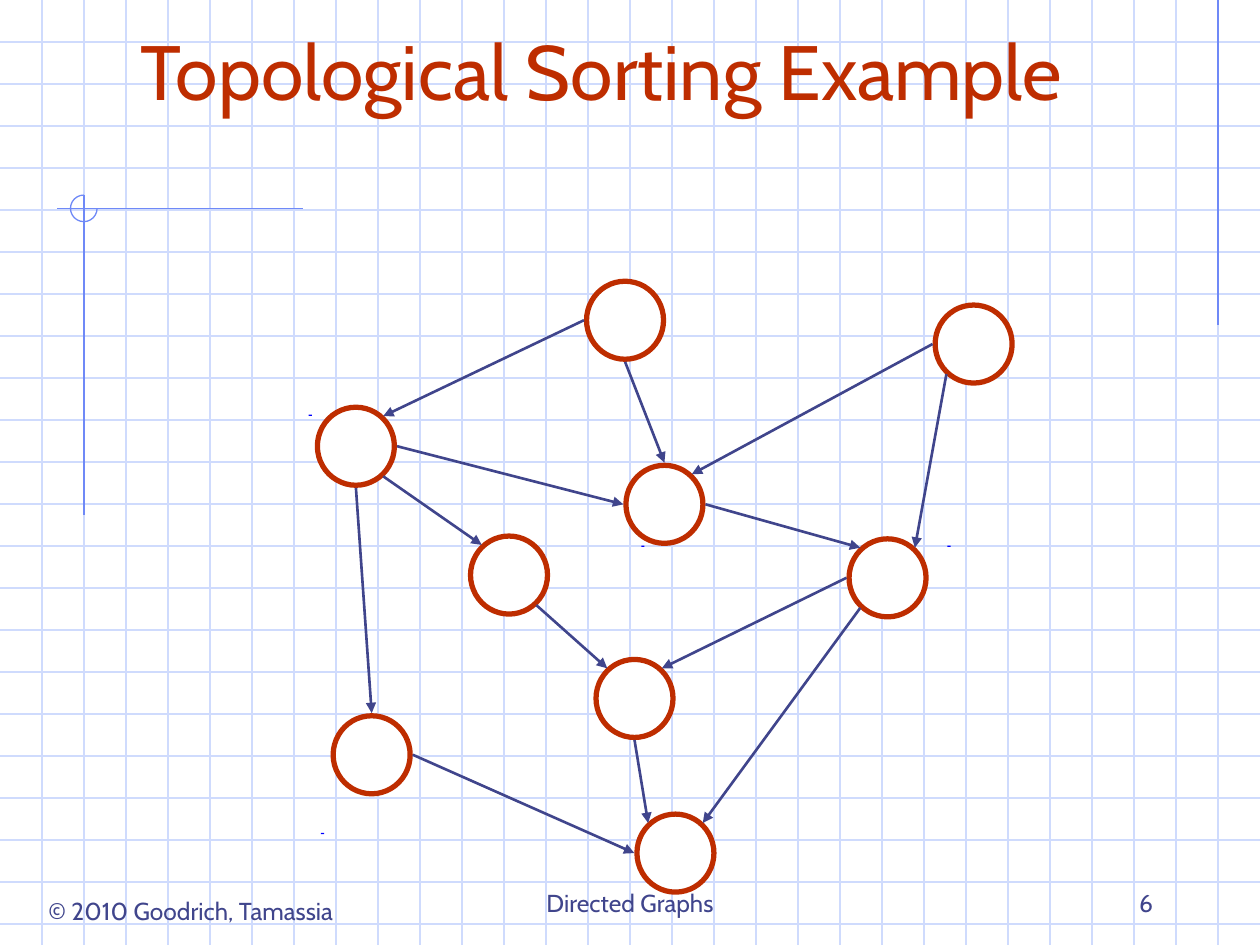
from lxml.etree import SubElement
from pptx import Presentation
from pptx.dml.color import RGBColor
from pptx.enum.shapes import MSO_CONNECTOR, MSO_SHAPE
from pptx.enum.text import MSO_ANCHOR, PP_ALIGN
from pptx.oxml.ns import qn
from pptx.util import Pt


def color(value):
    return RGBColor.from_string(value)


def add_text(text, left, top, width, height, size=14, fill="40458C",
             align=PP_ALIGN.LEFT, anchor=MSO_ANCHOR.BOTTOM, wrap=True):
    box = page.shapes.add_textbox(Pt(left), Pt(top), Pt(width), Pt(height))
    box.text_frame.word_wrap = wrap
    box.text_frame.vertical_anchor = anchor
    para = box.text_frame.paragraphs[0]
    para.alignment = align
    span = para.add_run()
    span.text = text
    span.font.name = "Cabin"
    span.font.size = Pt(size)
    span.font.color.rgb = color(fill)


def add_line(start, end, stroke, weight=0.75, arrow=False):
    line = page.shapes.add_connector(
        MSO_CONNECTOR.STRAIGHT, Pt(start[0]), Pt(start[1]), Pt(end[0]), Pt(end[1]))
    line.line.color.rgb = color(stroke)
    line.line.width = Pt(weight)
    if arrow:
        SubElement(line.line._get_or_add_ln(), qn("a:tailEnd"), type="triangle")
    SubElement(line._element.spPr, qn("a:effectLst"))


deck = Presentation()
deck.slide_width, deck.slide_height = Pt(720), Pt(540)
page = deck.slides.add_slide(deck.slide_layouts[6])
page.background.fill.solid()
page.background.fill.fore_color.rgb = color("FFFFFF")

for y in range(24, 540, 24):
    add_line((0, y), (720, y), "CFDBFD")
for x in range(24, 720, 24):
    add_line((x, 0), (x, 540), "CFDBFD")

accent_lines = [((696, 0), (696, 185.8)), ((173, 119.2), (32.6, 119.2)),
                ((48, 111.6), (48, 294.5))]
for start, end in accent_lines:
    add_line(start, end, "6F89F7")

arc = page.shapes.add_shape(MSO_SHAPE.ARC, Pt(40.3), Pt(111.5), Pt(15.2), Pt(15.2))
arc.adjustments[0] = 0
arc.adjustments[1] = 162
arc.shadow.inherit = False
arc.fill.background()
arc.line.color.rgb = color("6F89F7")
arc.line.width = Pt(0.75)

add_text("© 2010 Goodrich, Tamassia", 11.5, 508.3, 195, 24.5,
         align=PP_ALIGN.CENTER, anchor=MSO_ANCHOR.TOP, wrap=False)
add_text("Directed Graphs", 246, 492, 228, 36, align=PP_ALIGN.CENTER)
add_text("6", 516, 492, 150, 36, align=PP_ALIGN.RIGHT)
add_text("Topological Sorting Example", 73.5, -20, 612, 90, size=44, fill="BE2D00")

for left, top in [(176.4, 236.9), (366.5, 311.8), (541.4, 311.8), (183.4, 475.9)]:
    dash = page.shapes.add_shape(MSO_SHAPE.RECTANGLE, Pt(left), Pt(top), Pt(1.8), Pt(0.7))
    dash.shadow.inherit = False
    dash.fill.solid()
    dash.fill.fore_color.rgb = color("0000FF")
    dash.line.fill.background()

nodes = {
    "top": (357.2, 183), "low": (362.6, 399.1), "center": (379.7, 288.2),
    "lower left": (212.4, 431.3), "right": (507.2, 330.2), "inner": (290.9, 328.6),
    "upper right": (556.4, 196.6), "left": (203.4, 255), "bottom": (386, 487.5),
}
for x, y in nodes.values():
    circle = page.shapes.add_shape(
        MSO_SHAPE.OVAL, Pt(x - 22), Pt(y - 22.3), Pt(44), Pt(44.6))
    circle.shadow.inherit = False
    circle.fill.solid()
    circle.fill.fore_color.rgb = color("FFFFFF")
    circle.line.color.rgb = color("BE2D00")
    circle.line.width = Pt(3)

sites = {"N": (0, -23.8), "S": (0, 23.8), "W": (-23.5, 0), "E": (23.5, 0),
         "NW": (-15.6, -17.2), "NE": (15.6, -17.2),
         "SW": (-15.6, 17.2), "SE": (15.6, 17.2)}
edges = [
    ("top", "W", "left", "NE"), ("top", "S", "center", "N"),
    ("upper right", "W", "center", "NE"), ("right", "W", "low", "NE"),
    ("right", "SW", "bottom", "NE"), ("lower left", "E", "bottom", "W"),
    ("low", "S", "bottom", "NW"), ("inner", "SE", "low", "NW"),
    ("left", "SE", "inner", "NW"), ("left", "S", "lower left", "N"),
    ("left", "E", "center", "W"), ("center", "E", "right", "NW"),
    ("upper right", "SW", "right", "NE"),
]
for source, exit_site, target, entry_site in edges:
    start = [a + b for a, b in zip(nodes[source], sites[exit_site])]
    end = [a + b for a, b in zip(nodes[target], sites[entry_site])]
    add_line(start, end, "40458C", weight=1.5, arrow=True)

deck.save("out.pptx")
